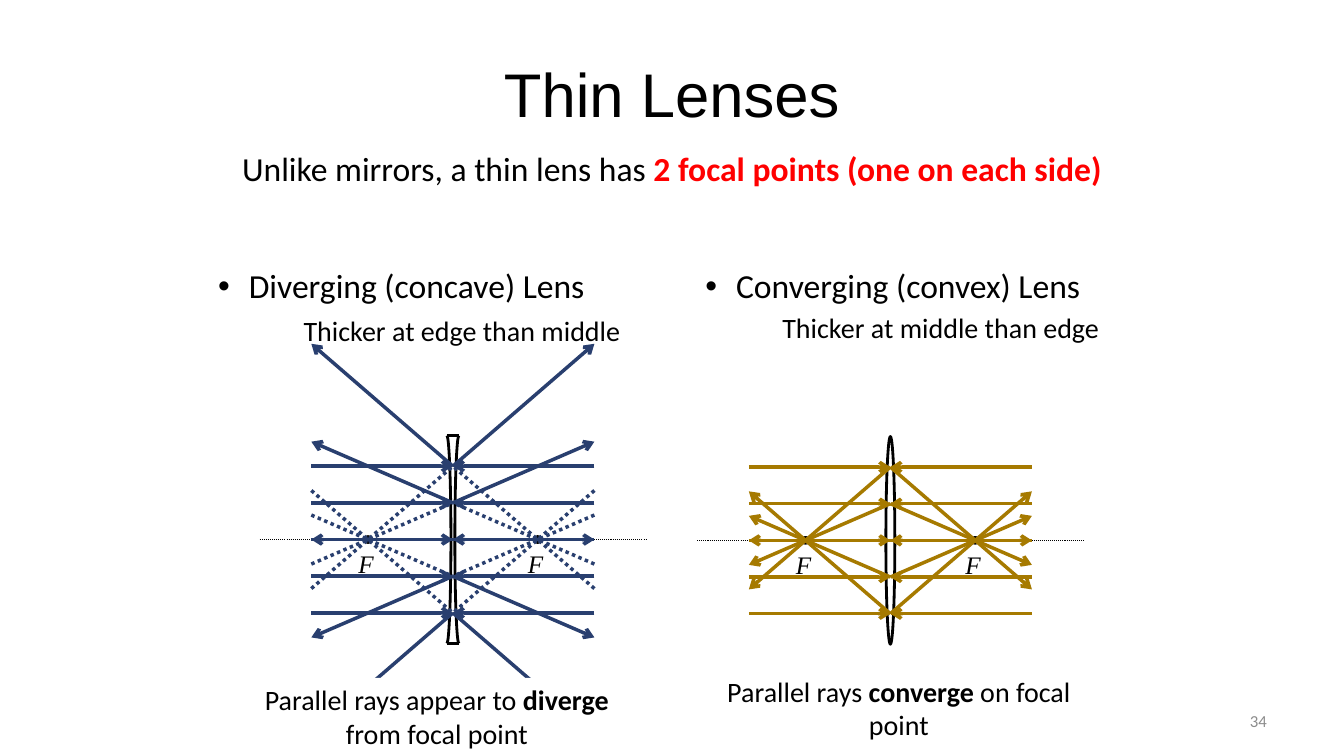
import pptx
import pptx.util
import pptx.dml.color
import pptx.enum.dml
import pptx.enum.shapes
import pptx.enum.text
from lxml import etree
from pptx.oxml.ns import qn

Pt = pptx.util.Pt
RGBColor = pptx.dml.color.RGBColor
SHAPE = pptx.enum.shapes.MSO_SHAPE
ALIGN = pptx.enum.text.PP_ALIGN
ANCHOR = pptx.enum.text.MSO_ANCHOR
DOTTED = pptx.enum.dml.MSO_LINE.ROUND_DOT

BLACK = RGBColor(0x00, 0x00, 0x00)
WHITE = RGBColor(0xFF, 0xFF, 0xFF)
RED = RGBColor(0xFF, 0x00, 0x00)
GREY = RGBColor(0x8C, 0x8C, 0x8C)
NAVY = RGBColor(0x29, 0x3F, 0x6F)
OCHRE = RGBColor(0xA6, 0x7A, 0x00)

# Optics, in points from the lens centre
FOCAL_LENGTH = 60.6
RAY_REACH = 101.1
RAY_HEIGHTS = [26.2 * step for step in (-2, -1, 0, 1, 2)]


def add_text(slide, box, runs, size, font="Calibri", color=BLACK,
             align=ALIGN.CENTER, bullet=False):
    """Place one paragraph; each run is (text, bold, colour or None)."""
    left, top, width, height = box
    label = slide.shapes.add_textbox(Pt(left), Pt(top), Pt(width), Pt(height))
    frame = label.text_frame
    frame.word_wrap = True
    paragraph = frame.paragraphs[0]
    paragraph.alignment = align
    if bullet:
        frame.margin_right = Pt(15.8)
        properties = paragraph._p.get_or_add_pPr()
        properties.set("marL", str(Pt(22)))
        properties.set("indent", str(-Pt(22)))
        etree.SubElement(properties, qn("a:buFont")).set("typeface", "Arial")
        etree.SubElement(properties, qn("a:buChar")).set("char", "•")
    paragraph.font.size = Pt(size)
    paragraph.font.name = font
    paragraph.font.color.rgb = color
    for words, bold, accent in runs:
        run = paragraph.add_run()
        run.text = words
        if bold:
            run.font.bold = True
        if accent is not None:
            run.font.color.rgb = accent
    return label


def add_line(slide, start, end, color, weight, dotted=False, arrow=False):
    line = slide.shapes.add_connector(
        pptx.enum.shapes.MSO_CONNECTOR.STRAIGHT,
        *(Pt(value) for value in (*start, *end)))
    line.line.color.rgb = color
    line.line.width = Pt(weight)
    if dotted:
        line.line.dash_style = DOTTED
    if arrow:
        etree.SubElement(line.line._get_or_add_ln(), qn("a:tailEnd")).set("type", "arrow")
    etree.SubElement(line._element.spPr, qn("a:effectLst"))


def add_outline(slide, kind, box, fill=None):
    outline = slide.shapes.add_shape(kind, *(Pt(value) for value in box))
    outline.shadow.inherit = False
    outline.line.color.rgb = BLACK
    outline.line.width = Pt(2)
    if fill is None:
        outline.fill.background()
    else:
        outline.fill.solid()
        outline.fill.fore_color.rgb = fill
    return outline


def add_concave_lens(slide, cx, top, height):
    for left, angles in ((cx - 7.2, (162, 54)), (cx + 1.4, (54, 162))):
        side = add_outline(slide, SHAPE.ARC, (left, top, 5.8, height))
        side.adjustments[0], side.adjustments[1] = angles
    for y in (top, top + height):
        add_line(slide, (cx - 4.3, y), (cx + 4.3, y), BLACK, 2)


def add_focus_name(slide, box):
    name = add_text(slide, box, [("F", False, None)], 18, "Times New Roman",
                    align=ALIGN.LEFT)
    frame = name.text_frame
    frame.word_wrap = False
    frame.margin_left, frame.margin_right = Pt(3), 0
    frame.margin_top = frame.margin_bottom = 0
    frame.paragraphs[0].font.italic = True


def add_ray_diagram(slide, box, converging, color):
    """Draw lens, axis, focal points and the rays from both sides."""
    left, top, width, height = box
    cx, axis = left + width / 2, top + height / 2
    foci = (cx - FOCAL_LENGTH, cx + FOCAL_LENGTH)

    # Lens and optical axis
    if converging:
        add_outline(slide, SHAPE.OVAL, (cx - 3.2, top, 6.4, height))
    else:
        add_concave_lens(slide, cx, top, height)
    add_line(slide, (left, axis), (left + width, axis), BLACK, 0.75, dotted=True)

    # Focal points
    for focus in foci:
        add_outline(slide, SHAPE.OVAL, (focus - 2.1, axis - 2.1, 4.2, 4.2), BLACK)

    # Rays travelling right, then left
    spread = RAY_REACH / FOCAL_LENGTH
    bend = 1 - spread if converging else 1 + spread
    for direction in (1, -1):
        source, target = cx - direction * RAY_REACH, cx + direction * RAY_REACH
        for ray in RAY_HEIGHTS:
            hit = (cx, axis + ray)
            add_line(slide, (source, axis + ray), hit, color, 2.5, arrow=True)
            add_line(slide, hit, (target, axis + ray * bend), color, 2.5, arrow=True)
            if not converging and ray:
                add_line(slide, (source, axis + ray * (1 - spread)), hit,
                         color, 2.5, dotted=True)

    # Focal point names, in front of the rays and clear of the one below
    for focus in foci:
        add_focus_name(slide, (focus - 10, axis + 6, 15, 24))


def add_header(slide, box):
    left, top, width, height = box
    title = add_text(slide, (left, top, width, 90), [("Thin Lenses", False, None)],
                     44, "Arial")
    title.text_frame.vertical_anchor = ANCHOR.MIDDLE
    add_text(slide, (left + 72, top + height - 36, width - 144, 36),
             [("Unlike mirrors, a thin lens has ", False, None),
              ("2 focal points (one on each side)", True, RED)], 24)


def add_lens_notes(slide, heading_box, heading, note_at, note, caption_at, caption):
    add_text(slide, heading_box, [(heading, False, None)], 24, bullet=True)
    add_text(slide, (*note_at, 276, 31.7), [(note, False, None)], 20)
    summary = add_text(slide, (*caption_at, 276, 55.4), caption, 20)
    summary.fill.solid()
    summary.fill.fore_color.rgb = WHITE


def add_page_number(slide, box):
    number = add_text(slide, box, [("34", False, None)], 12, color=GREY, align=ALIGN.RIGHT)
    number.text_frame.vertical_anchor = ANCHOR.MIDDLE


def main():
    deck = pptx.Presentation()
    deck.slide_width, deck.slide_height = Pt(960), Pt(540)
    slide = deck.slides.add_slide(deck.slide_layouts[6])

    add_header(slide, (48, 21.6, 864, 116.6))

    # Converging lens on the right
    add_ray_diagram(slide, (498, 311.8, 276, 148.4), True, OCHRE)
    add_lens_notes(slide, (492, 186, 300, 36), "Converging (convex) Lens",
                   (534, 218), "Thicker at middle than edge", (504, 478),
                   [("Parallel rays ", False, None), ("converge", True, None),
                    (" on focal point", False, None)])

    # Diverging lens on the left; its caption covers the lowest rays
    add_ray_diagram(slide, (185.5, 311.2, 276, 148.4), False, NAVY)
    add_lens_notes(slide, (132, 186, 318, 36), "Diverging (concave) Lens",
                   (192, 220.5), "Thicker at edge than middle", (174, 484.3),
                   [("Parallel rays appear to ", False, None), ("diverge", True, None),
                    (" from focal point", False, None)])

    add_page_number(slide, (688, 500.5, 224, 28.8))
    deck.save("out.pptx")


if __name__ == "__main__":
    main()
